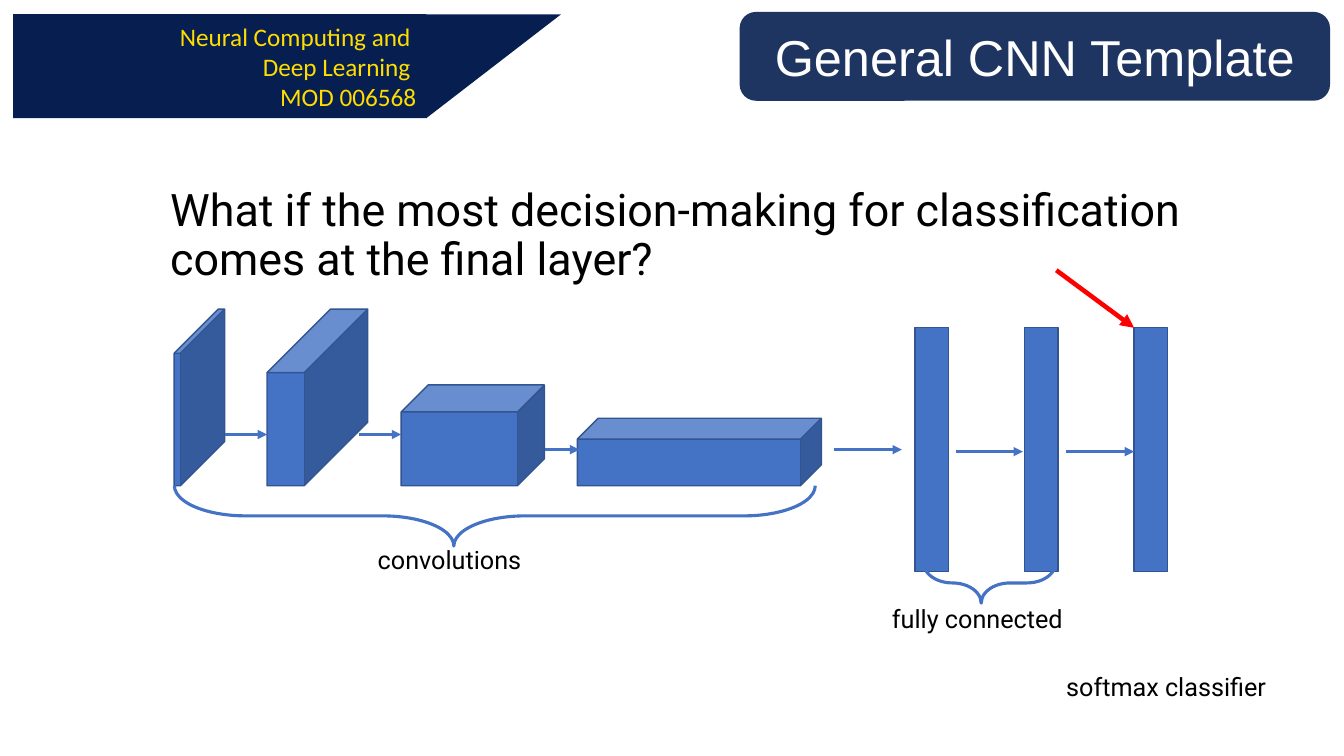
from dataclasses import dataclass

from lxml.etree import SubElement
from pptx import Presentation
from pptx.dml.color import RGBColor
from pptx.enum.shapes import MSO_CONNECTOR as Connector, MSO_SHAPE as Preset
from pptx.enum.text import MSO_ANCHOR as Anchor, PP_ALIGN as Align
from pptx.oxml.ns import qn
from pptx.util import Cm, Pt


@dataclass(frozen=True)
class Theme:
    navy: str = "061F50"
    yellow: str = "FFDD00"
    white: str = "FFFFFF"
    black: str = "000000"
    blue: str = "4472C4"
    outline: str = "325491"
    red: str = "FF0000"
    body_font: str = "Roboto"
    title_font: str = "Arial"
    module_font: str = "Calibri"
    title_size: int = 36
    question_size: int = 32
    label_size: int = 18


THEME = Theme()

LAYER_FLOOR = 12.24
# left, width, height, depth ratio
CONVOLUTIONS = [
    (4.39, 1.27, 4.45, 0.875),
    (6.73, 2.54, 4.45, 0.631),
    (10.11, 3.61, 2.54, 0.268),
    (14.55, 6.15, 1.7, 0.31),
]
DENSE_LEFT, DENSE_STEP, DENSE_COUNT = 23.06, 2.76, 3
DENSE_TOP, DENSE_WIDTH, DENSE_HEIGHT = 8.26, 0.84, 6.15
# start, end, height on the page
FLOW_ARROWS = [
    (5.66, 6.73, 10.95),
    (9.04, 10.11, 10.95),
    (13.74, 14.6, 11.33),
    (21.03, 22.73, 11.33),
    (24.1, 25.78, 11.38),
    (26.87, 28.58, 11.38),
]
# centre x, centre y, depth, span
BRACES = [(12.47, 13, 1.52, 16.15), (24.94, 14.69, 1.02, 3.33)]
LABELS = [
    ("convolutions", 9.27, 13.59, 4.24),
    ("fully connected", 22.23, 15.09, 5.03),
    ("softmax classifier", 26.62, 16.79, 5.61),
]


def write_text(box, *lines, font=THEME.body_font, size=THEME.label_size,
               color=THEME.black, align=Align.LEFT, anchor=Anchor.TOP,
               wrap=True, spacing=None):
    frame = box.text_frame
    frame.word_wrap = wrap
    frame.vertical_anchor = anchor
    for index, line in enumerate(lines):
        para = frame.add_paragraph() if index else frame.paragraphs[0]
        para.alignment = align
        para.line_spacing = spacing
        span = para.add_run()
        span.text = line
        span.font.name = font
        span.font.size = Pt(size)
        span.font.color.rgb = RGBColor.from_string(color)


def add_text_box(page, left, top, width, height, *lines, **style):
    box = page.shapes.add_textbox(Cm(left), Cm(top), Cm(width), Cm(height))
    write_text(box, *lines, **style)


def add_block(page, preset, left, top, width, height, fill=None, line=None,
              weight=1, adjust=(), turn=0):
    block = page.shapes.add_shape(preset, Cm(left), Cm(top), Cm(width), Cm(height))
    block.shadow.inherit = False
    block.rotation = turn
    for index, value in enumerate(adjust):
        block.adjustments[index] = value
    if fill:
        block.fill.solid()
        block.fill.fore_color.rgb = RGBColor.from_string(fill)
    else:
        block.fill.background()
    if line:
        block.line.color.rgb = RGBColor.from_string(line)
        block.line.width = Pt(weight)
    else:
        block.line.fill.background()
    return block


def set_opacity(block, percent):
    color = block.fill._xPr.find(qn("a:solidFill"))[0]
    SubElement(color, qn("a:alpha"), val=str(percent * 1000))


def add_brace(page, center_x, center_y, depth, span):
    """Draw a brace that opens upwards: a right brace turned a quarter."""
    add_block(page, Preset.RIGHT_BRACE, center_x - depth / 2, center_y - span / 2,
              depth, span, line=THEME.blue, weight=2.25, adjust=(1.18, 0.564), turn=90)


def add_arrow(page, start, end, color=THEME.blue, weight=2.25):
    arrow = page.shapes.add_connector(
        Connector.STRAIGHT, *(Cm(value) for value in (*start, *end)))
    arrow.line.color.rgb = RGBColor.from_string(color)
    arrow.line.width = Pt(weight)
    SubElement(arrow.line._get_or_add_ln(), qn("a:tailEnd"), type="triangle")
    SubElement(arrow._element.spPr, qn("a:effectLst"))


def add_network(page):
    for left, width, height, depth in CONVOLUTIONS:
        add_block(page, Preset.CUBE, left, LAYER_FLOOR - height, width, height,
                  fill=THEME.blue, line=THEME.outline, adjust=(depth,))
    for index in range(DENSE_COUNT):
        add_block(page, Preset.RECTANGLE, DENSE_LEFT + index * DENSE_STEP, DENSE_TOP,
                  DENSE_WIDTH, DENSE_HEIGHT, fill=THEME.blue, line=THEME.outline)
    for text, left, top, width in LABELS:
        add_text_box(page, left, top, width, 1.02, text, wrap=False)
    for brace in BRACES:
        add_brace(page, *brace)
    for start, end, level in FLOW_ARROWS:
        add_arrow(page, (start, level), (end, level))


def add_header(page):
    title = add_block(page, Preset.ROUNDED_RECTANGLE, 18.64, 0.3, 14.88, 2.24,
                      fill=THEME.navy, adjust=(0.184,))
    set_opacity(title, 90)
    write_text(title, "General CNN Template", font=THEME.title_font,
               size=THEME.title_size, color=THEME.white, align=Align.CENTER,
               anchor=Anchor.MIDDLE)
    add_block(page, Preset.ISOSCELES_TRIANGLE, 10.74, 0.36, 3.4, 2.62,
              fill=THEME.navy, adjust=(1,), turn=180)
    module = add_block(page, Preset.RECTANGLE, 0.33, 0.36, 10.41, 2.62, fill=THEME.navy)
    write_text(module, "Neural Computing and ", "Deep Learning ", "MOD 006568",
               font=THEME.module_font, color=THEME.yellow, align=Align.RIGHT,
               anchor=Anchor.MIDDLE)


def main():
    deck = Presentation()
    deck.slide_width, deck.slide_height = Cm(33.87), Cm(19.05)
    page = deck.slides.add_slide(deck.slide_layouts[6])
    add_network(page)
    add_text_box(page, 4.04, 4.24, 27.18, 3.45,
                 "What if the most decision-making for classification "
                 "comes at the final layer?",
                 size=THEME.question_size, anchor=Anchor.MIDDLE, spacing=0.9)
    add_arrow(page, (26.62, 6.81), (28.58, 8.26), color=THEME.red, weight=3.25)
    add_header(page)
    deck.save("out.pptx")


if __name__ == "__main__":
    main()
